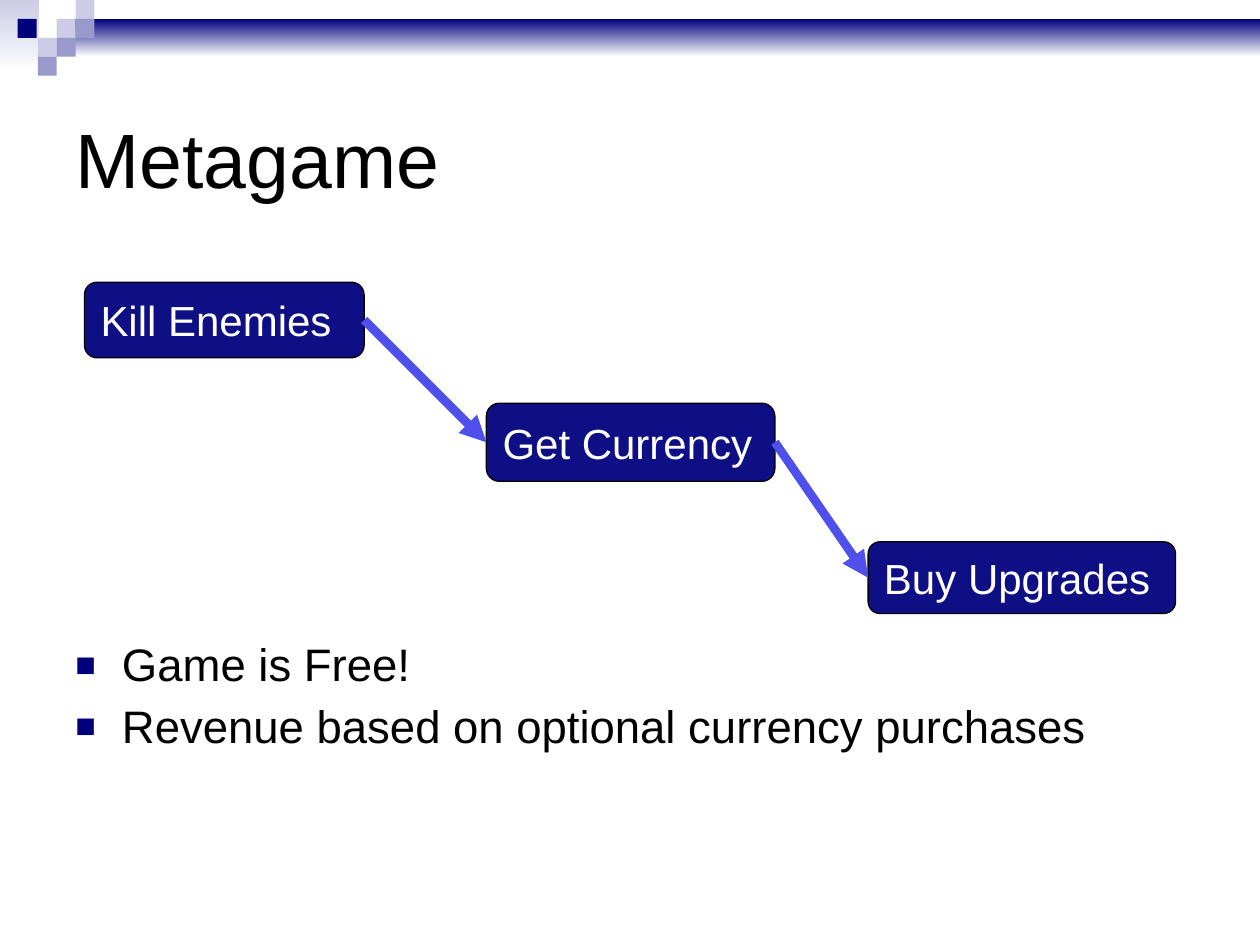
from lxml import etree
from pptx import Presentation
from pptx.dml.color import RGBColor
from pptx.enum.shapes import MSO_CONNECTOR, MSO_SHAPE
from pptx.enum.text import MSO_ANCHOR as Anchor, PP_ALIGN as Align
from pptx.oxml.ns import qn
from pptx.util import Inches, Pt

COLORS = {
    "white": "FFFFFF", "black": "000000", "navy": "00007D", "pale": "CCCCE6",
    "lilac": "9999CC", "box": "0F0F85", "arrow": "4F4FEB",
}
FONT = "Arial"
TITLE = "Metagame"
# Text, left, top, width, height
STEPS = [
    ("Kill Enemies", 0.67, 2.24, 2.22, 0.6),
    ("Get Currency", 3.86, 3.2, 2.29, 0.62),
    ("Buy Upgrades", 6.89, 4.3, 2.44, 0.57),
]
BULLETS = ["Game is Free!", "Revenue based on optional currency purchases"]
# Left, top, width, height, colour at the top edge
BANDS = [(0, 0, 0.31, 0.58, "pale"), (0.45, 0.15, 9.55, 0.3, "navy")]
TILE = 0.15
# Left, top, colour
TILES = [
    (0.45, 0.15, "pale"), (0.6, 0, "pale"), (0.6, 0.15, "lilac"),
    (0.3, 0.3, "pale"), (0.14, 0.15, "navy"), (0.45, 0.3, "lilac"),
    (0.3, 0.45, "lilac"),
]


def rgb(name):
    return RGBColor.from_string(COLORS[name])


def set_font(paragraph, size, color):
    paragraph.font.name = FONT
    paragraph.font.size = Pt(size)
    paragraph.font.color.rgb = rgb(color)


def add_box(slide, kind, *place):
    shape = slide.shapes.add_shape(kind, *map(Inches, place))
    shape.shadow.inherit = False
    shape.line.fill.background()
    return shape


def add_header(slide):
    for *place, color in BANDS:
        fill = add_box(slide, MSO_SHAPE.RECTANGLE, *place).fill
        fill.gradient()
        fill.gradient_angle = 90
        for stop, name in zip(fill.gradient_stops, ("white", color)):
            stop.color.rgb = rgb(name)
    for left, top, color in TILES:
        tile = add_box(slide, MSO_SHAPE.RECTANGLE, left, top, TILE, TILE)
        tile.fill.solid()
        tile.fill.fore_color.rgb = rgb(color)


def add_title(slide):
    title = slide.shapes.title
    title.left, title.top, title.width, title.height = map(Inches, (0.5, 0.5, 9, 1.5))
    title.text_frame.text = TITLE
    title.text_frame.vertical_anchor = Anchor.MIDDLE
    paragraph = title.text_frame.paragraphs[0]
    paragraph.alignment = Align.LEFT
    set_font(paragraph, 44, "black")


def add_step(slide, text, *place):
    step = add_box(slide, MSO_SHAPE.ROUNDED_RECTANGLE, *place)
    step.fill.solid()
    step.fill.fore_color.rgb = rgb("box")
    step.line.color.rgb = rgb("black")
    step.line.width = Pt(0.75)
    step.text_frame.text = text
    step.text_frame.vertical_anchor = Anchor.MIDDLE
    paragraph = step.text_frame.paragraphs[0]
    paragraph.alignment = Align.LEFT
    set_font(paragraph, 24, "white")
    return step


def add_arrow(slide, source, target):
    arrow = slide.shapes.add_connector(MSO_CONNECTOR.STRAIGHT, 0, 0, 0, 0)
    arrow.begin_connect(source, 3)  # right side
    arrow.end_connect(target, 1)  # left side
    arrow.line.color.rgb = rgb("arrow")
    arrow.line.width = Pt(5)
    line = arrow.line._get_or_add_ln()
    etree.SubElement(line, qn("a:tailEnd"), type="triangle")
    etree.SubElement(arrow._element.spPr, qn("a:effectLst"))


def add_bullet(paragraph):
    properties = paragraph._p.get_or_add_pPr()
    properties.set("marL", str(Inches(0.37)))
    properties.set("indent", str(-Inches(0.37)))
    color = etree.SubElement(properties, qn("a:buClr"))
    etree.SubElement(color, qn("a:srgbClr"), val=COLORS["navy"])
    etree.SubElement(properties, qn("a:buSzPct"), val="75000")
    etree.SubElement(properties, qn("a:buFont"), typeface=FONT)
    etree.SubElement(properties, qn("a:buChar"), char="■")


def add_bullets(slide):
    frame = slide.shapes.add_textbox(*map(Inches, (0.5, 5.05, 9, 4.25))).text_frame
    frame.word_wrap = True
    frame.text = "\n".join(BULLETS)
    for paragraph in frame.paragraphs:
        paragraph.line_spacing = 0.9
        paragraph.space_before = Pt(7)
        add_bullet(paragraph)
        set_font(paragraph, 26, "black")


def main():
    presentation = Presentation()
    presentation.slide_width, presentation.slide_height = Inches(10), Inches(7.5)
    slide = presentation.slides.add_slide(presentation.slide_layouts[5])

    add_header(slide)
    add_title(slide)
    # Chain of steps, each joined to the next
    steps = [add_step(slide, *step) for step in STEPS]
    for source, target in zip(steps, steps[1:]):
        add_arrow(slide, source, target)
    add_bullets(slide)

    presentation.save("out.pptx")


if __name__ == "__main__":
    main()
